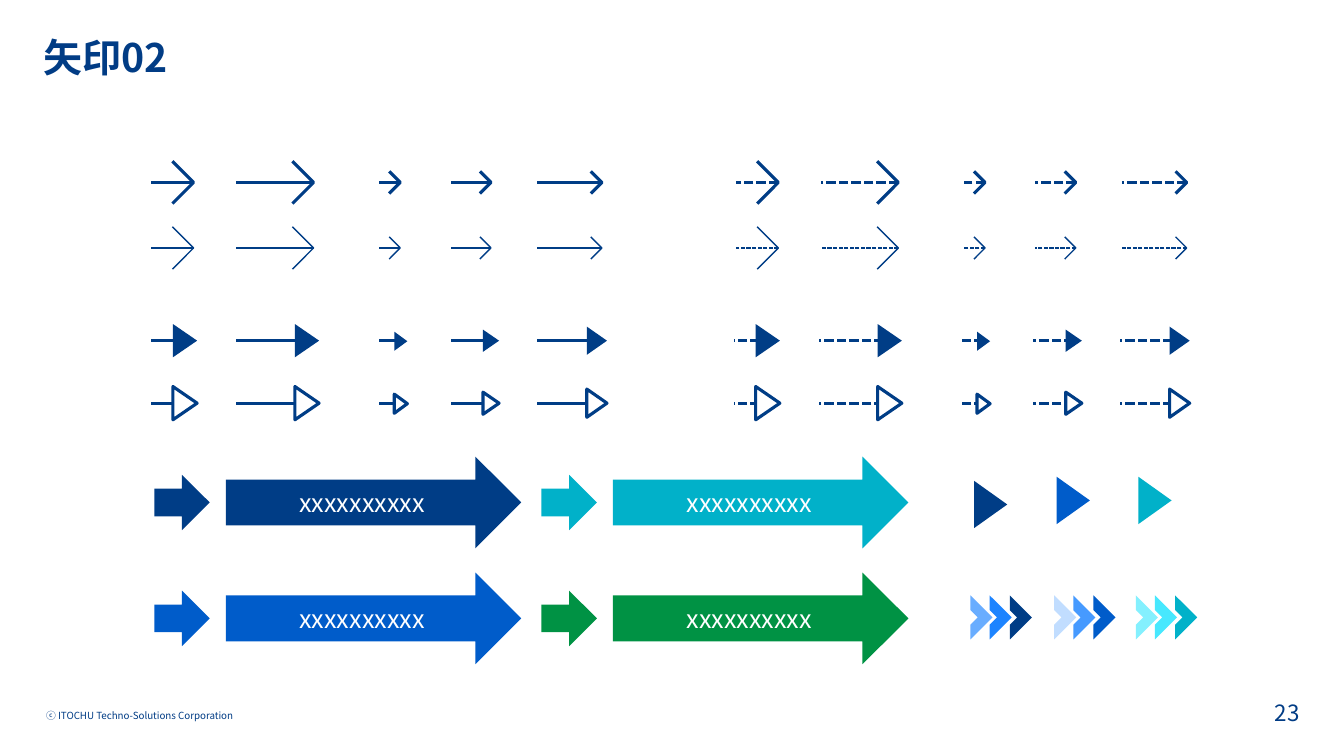
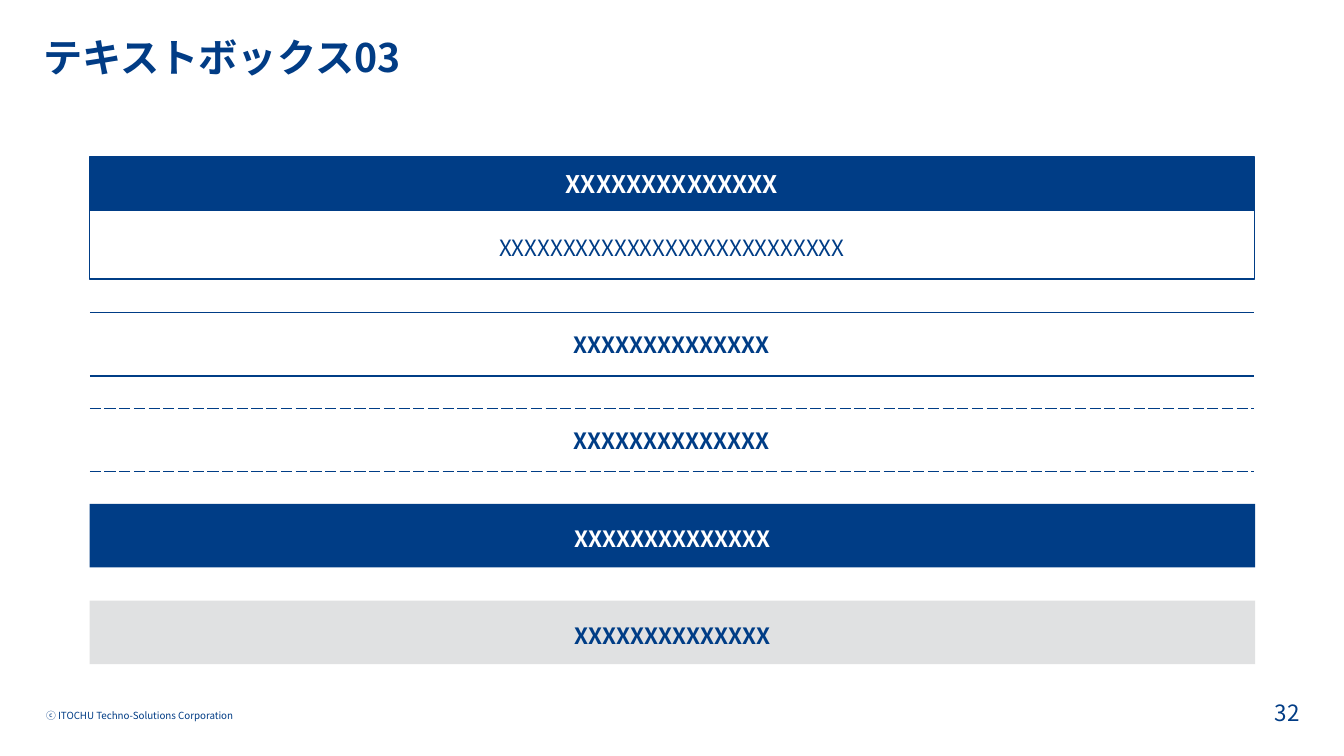
from dataclasses import dataclass
from typing import Any, Optional

from lxml.etree import Element, SubElement
from pptx import Presentation
from pptx.dml.color import RGBColor
from pptx.enum.dml import MSO_LINE as Dash
from pptx.enum.shapes import MSO_CONNECTOR as Link, MSO_SHAPE as Kind
from pptx.enum.text import MSO_ANCHOR as Anchor, MSO_AUTO_SIZE as Fit, PP_ALIGN as Align
from pptx.oxml.ns import qn
from pptx.util import Pt

SCALE = 9144
FACE = "Noto Sans CJK JP"
NAVY, INK, BLUE = "003D86", "013C85", "005CCA"
TEAL, GREEN, GREY, WHITE = "01B1C9", "009244", "E0E1E2", "FFFFFF"
PAD = (10, 5, 10, 5)
WIDE = (31, 0, 31, 0)


@dataclass(frozen=True)
class Style:
    size: float
    color: str
    bold: bool = False
    align: Align = Align.CENTER
    anchor: Anchor = Anchor.MIDDLE
    inset: tuple = PAD
    lead: Optional[float] = None


@dataclass(frozen=True)
class Stroke:
    color: str = NAVY
    width: float = 2.25
    dash: Optional[Dash] = None


@dataclass(frozen=True)
class Open:
    tail: int
    tip: int
    half: int


@dataclass(frozen=True)
class Solid:
    tail: int
    end: int
    left: int
    base: int
    depth: int


@dataclass(frozen=True)
class Bar:
    top: int
    width: int
    height: int
    text: str
    style: Style
    fill: Optional[str] = None
    edge: Optional[Stroke] = None


@dataclass(frozen=True)
class Ruled:
    top: int
    fill: Optional[str]
    edge: Stroke


TITLE = Style(28, INK, True, Align.LEFT, Anchor.TOP, (0, 0, 0, 5), 0.9)
RIGHTS = Style(7, INK, False, Align.LEFT, Anchor.TOP)
NUMBER = Style(16, INK, False, Align.RIGHT, Anchor.BOTTOM)
LABEL = Style(18, WHITE)
CELL = Style(16, NAVY, True, inset=WIDE)

OPENS = (
    Open(150, 192, 21),
    Open(234, 311, 21),
    Open(376, 397, 11),
    Open(447, 487, 11),
    Open(533, 597, 11),
)
SOLIDS = (
    Solid(150, 188, 167, 33, 24),
    Solid(234, 311, 288, 33, 24),
    Solid(376, 397, 388, 19, 13),
    Solid(447, 487, 476, 22, 16),
    Solid(533, 597, 578, 28, 20),
)
BLOCKS = ((0, 453, NAVY), (0, 568, BLUE), (384, 453, TEAL), (384, 568, GREEN))
WEDGES = ((959, 484, NAVY), (1041, 480, BLUE), (1122, 480, TEAL))
TRIPLES = (
    (947, ("69ADFF", "1D84FF", NAVY)),
    (1030, ("C1DDFF", "469AFF", BLUE)),
    (1111, ("84F0FE", "47E8FE", TEAL)),
)
SHORT = "X" * 14
BARS = (
    Bar(209, 1155, 68, "X" * 27, Style(16, NAVY, inset=WIDE, lead=1.2), edge=Stroke(width=1)),
    Bar(156, 1155, 53, SHORT, Style(17.3, WHITE, True, inset=WIDE), NAVY, Stroke(width=1)),
    Bar(500, 1156, 63, SHORT, Style(16, WHITE, True, inset=WIDE, lead=1.2), NAVY),
    Bar(596, 1156, 63, SHORT, Style(16, NAVY, True, inset=WIDE, lead=1.2), GREY),
)
RULED = (
    Ruled(310, WHITE, Stroke(width=1)),
    Ruled(405, None, Stroke(width=1, dash=Dash.SQUARE_DOT)),
)


def px(*vals: int) -> list[int]:
    return [val * SCALE for val in vals]


def rgb(code: str) -> RGBColor:
    return RGBColor.from_string(code)


def apply(item: Any, vals: dict[str, Any]) -> None:
    for name, val in vals.items():
        setattr(item, name, val)


def paint(fill: Any, color: Optional[str]) -> None:
    if color is None:
        fill.background()
    else:
        fill.solid()
        fill.fore_color.rgb = rgb(color)


def trace(line: Any, edge: Optional[Stroke]) -> None:
    if edge is None:
        line.fill.background()
        return
    paint(line.fill, edge.color)
    line.width = Pt(edge.width)
    if edge.dash is not None:
        line.dash_style = edge.dash


def pads(style: Style) -> dict[str, int]:
    names = ("margin_left", "margin_top", "margin_right", "margin_bottom")
    return dict(zip(names, px(*style.inset)))


def fill_in(frame: Any, text: str, style: Style) -> None:
    para = frame.paragraphs[0]
    para.alignment = style.align
    if style.lead is not None:
        para.line_spacing = style.lead
    run = para.add_run()
    run.text = text
    apply(run.font, {"size": Pt(style.size), "bold": style.bold, "name": FACE})
    run.font.color.rgb = rgb(style.color)
    SubElement(run.font._element, qn("a:ea")).set("typeface", FACE)


def write(frame: Any, text: str, style: Style) -> None:
    apply(frame, {"word_wrap": True, "auto_size": Fit.NONE,
                  "vertical_anchor": style.anchor, **pads(style)})
    fill_in(frame, text, style)


def add_box(slide: Any, box: tuple, text: str, style: Style) -> None:
    write(slide.shapes.add_textbox(*px(*box)).text_frame, text, style)


def shape(shapes: Any, kind: Kind, box: tuple, color: Optional[str],
          edge: Optional[Stroke] = None, turn: int = 0) -> Any:
    item = shapes.add_shape(kind, *px(*box))
    item.shadow.inherit = False
    item.rotation = turn
    paint(item.fill, color)
    trace(item.line, edge)
    return item


def shaft(shapes: Any, start: int, end: int, y: int, edge: Stroke) -> None:
    line = shapes.add_connector(Link.STRAIGHT, *px(start, y, end, y))
    trace(line.line, edge)
    SubElement(line._element.spPr, qn("a:effectLst"))


def draw_open(slide: Any, arrow: Open, shift: int, y: int, edge: Stroke) -> None:
    group = slide.shapes.add_group_shape().shapes
    tip, half = arrow.tip + shift, arrow.half
    path = group.build_freeform(*px(tip - half, y - half))
    path.add_line_segments([px(tip, y), px(tip - half, y + half)], close=False)
    head = path.convert_to_shape()
    head.shadow.inherit = False
    head.fill.background()
    trace(head.line, Stroke(edge.color, edge.width))
    shaft(group, tip, arrow.tail + shift, y, edge)


def draw_solid(slide: Any, shift: int, y: int, edge: Stroke, color: str,
               rim: Optional[Stroke]) -> None:
    group = slide.shapes.add_group_shape().shapes
    for arrow in SOLIDS:
        shaft(group, arrow.end + shift, arrow.tail + shift, y, edge)
    for arrow in SOLIDS:
        box = (arrow.left + shift, y - arrow.depth // 2, arrow.base, arrow.depth)
        shape(group, Kind.ISOSCELES_TRIANGLE, box, color, rim, 90)


def draw_ruled(slide: Any, ruled: Ruled) -> None:
    frame = slide.shapes.add_table(1, 1, *px(89, ruled.top, 1155, 63))
    table = frame.table
    apply(table, {"first_row": False, "horz_banding": False})
    cell = table.cell(0, 0)
    apply(cell, {"vertical_anchor": CELL.anchor, **pads(CELL)})
    fill_in(cell.text_frame, SHORT, CELL)
    paint(cell.fill, ruled.fill)
    props = cell._tc.get_or_add_tcPr()
    for spot, side in enumerate(("lnL", "lnR", "lnT", "lnB")):
        line = Element(qn("a:" + side), w=str(Pt(ruled.edge.width)))
        props.insert(spot, line)
        if side in ("lnL", "lnR"):
            SubElement(line, qn("a:noFill"))
            continue
        solid = SubElement(line, qn("a:solidFill"))
        SubElement(solid, qn("a:srgbClr"), val=ruled.edge.color)
        dash = "sysDash" if ruled.edge.dash else "solid"
        SubElement(line, qn("a:prstDash"), val=dash)


def start(deck: Any, title: str, number: int) -> Any:
    slide = deck.slides.add_slide(deck.slide_layouts[5])
    head = slide.shapes.title
    apply(head, dict(zip(("left", "top", "width", "height"), px(43, 38, 1024, 47))))
    write(head.text_frame, title, TITLE)
    add_box(slide, (36, 699, 300, 36), "ⓒ ITOCHU Techno-Solutions Corporation", RIGHTS)
    add_box(slide, (999, 692, 300, 33), str(number), NUMBER)
    return slide


def arrows(deck: Any) -> None:
    slide = start(deck, "矢印02", 23)
    for y, width in ((181, 2.25), (246, 1)):
        for shift, dash in ((0, None), (580, Dash.SQUARE_DOT)):
            for arrow in OPENS:
                draw_open(slide, arrow, shift, y, Stroke(NAVY, width, dash))
    for y, color, rim in ((338, NAVY, None), (400, WHITE, Stroke())):
        for shift, dash in ((0, None), (578, Dash.SQUARE_DOT)):
            draw_solid(slide, shift, y, Stroke(dash=dash), color, rim)
    for shift, top, color in BLOCKS:
        big = shape(slide.shapes, Kind.RIGHT_ARROW, (224 + shift, top, 293, 91), color)
        write(big.text_frame, "x" * 10, LABEL)
        shape(slide.shapes, Kind.RIGHT_ARROW, (153 + shift, top + 18, 55, 55), color)
    for left, top, color in WEDGES:
        shape(slide.shapes, Kind.ISOSCELES_TRIANGLE, (left, top, 47, 33), color, turn=90)
    for left, colors in TRIPLES:
        group = slide.shapes.add_group_shape().shapes
        for step, color in enumerate(colors):
            box = (left + step * 39 // 2, 597, 31, 31)
            shape(group, Kind.HALF_FRAME, box, color, turn=135)


def boxes(deck: Any) -> None:
    slide = start(deck, "テキストボックス03", 32)
    for bar in BARS:
        box = (89, bar.top, bar.width, bar.height)
        item = shape(slide.shapes, Kind.RECTANGLE, box, bar.fill, bar.edge)
        write(item.text_frame, bar.text, bar.style)
    for ruled in RULED:
        draw_ruled(slide, ruled)


def main() -> None:
    deck = Presentation()
    apply(deck, dict(zip(("slide_width", "slide_height"), px(1333, 750))))
    arrows(deck)
    boxes(deck)
    deck.save("out.pptx")


if __name__ == "__main__":
    main()
